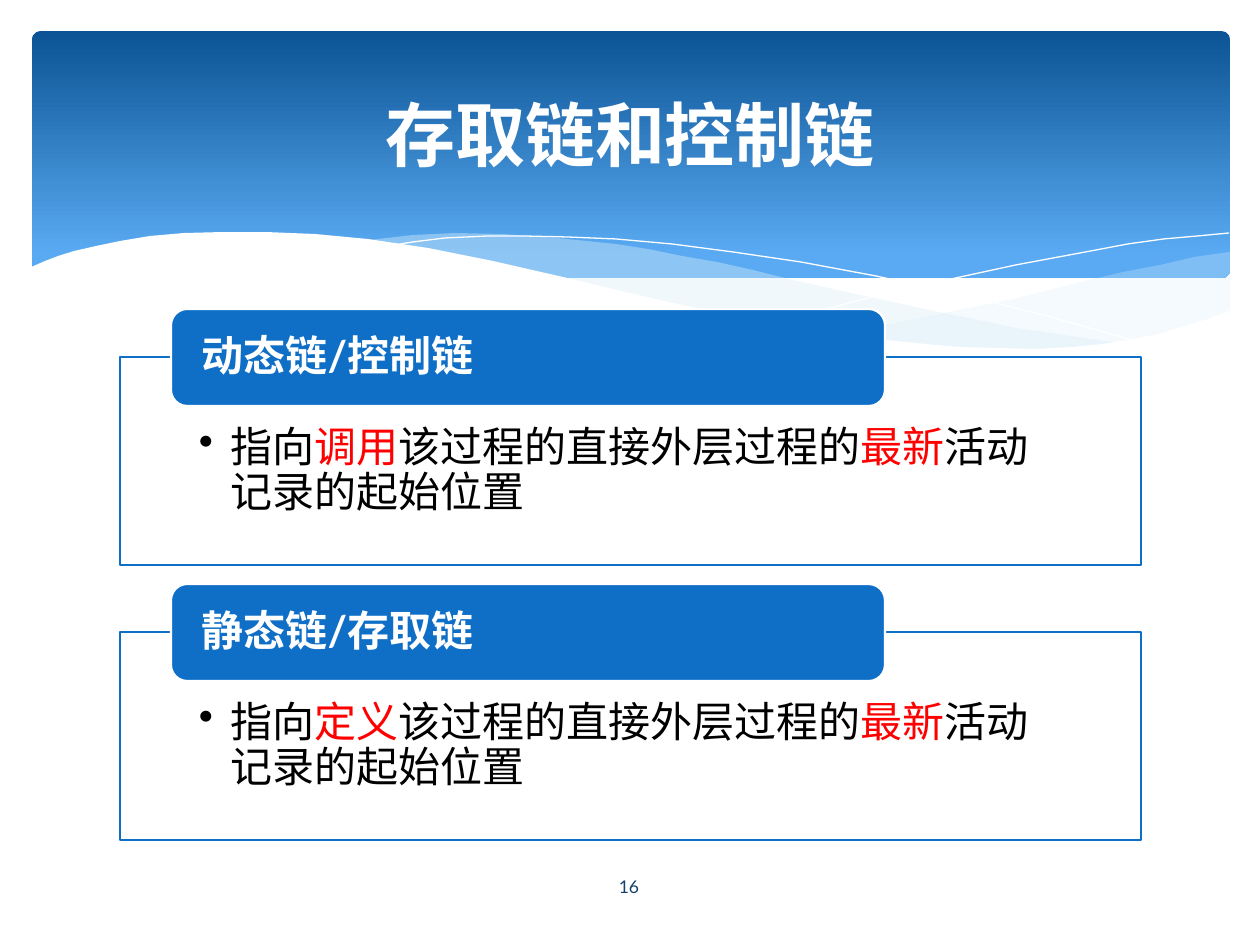
from lxml import etree
from pptx import Presentation
from pptx.dml.color import RGBColor
from pptx.enum.shapes import MSO_SHAPE
from pptx.enum.text import MSO_ANCHOR, PP_ALIGN
from pptx.oxml.ns import qn
from pptx.util import Pt

PX = 914400 / 126
RECT, ROUND = MSO_SHAPE.RECTANGLE, MSO_SHAPE.ROUNDED_RECTANGLE
TOP, MIDDLE = MSO_ANCHOR.TOP, MSO_ANCHOR.MIDDLE
LEFT, CENTER = PP_ALIGN.LEFT, PP_ALIGN.CENTER
WHITE = RGBColor(0xFF, 0xFF, 0xFF)
BLACK = RGBColor(0, 0, 0)
RED = RGBColor(0xFF, 0, 0)
BLUE = RGBColor(0x0F, 0x6F, 0xC6)
DEEP = RGBColor(0x0B, 0x53, 0x94)
SKY = RGBColor(0x59, 0xAA, 0xF2)
PALE = RGBColor(0xDB, 0xEF, 0xF9)
NAVY = RGBColor(0x17, 0x40, 0x6D)
LATIN, HAN = "Lato", "Noto Sans CJK SC"


def paint(shape, color, alpha=100, line=None, width=1.25):
    shape.shadow.inherit = False
    if color is None:
        shape.fill.background()
    else:
        shape.fill.solid()
        shape.fill.fore_color.rgb = color
        if alpha < 100:
            tone = shape.fill._xPr.find(qn("a:solidFill"))[0]
            etree.SubElement(tone, qn("a:alpha")).set("val", str(alpha * 1000))
    if line is None:
        shape.line.fill.background()
    else:
        shape.line.color.rgb = line
        shape.line.width = Pt(width)


def write(shape, runs, size, anchor, align, pad, bold=False):
    frame = shape.text_frame
    frame.word_wrap = True
    frame.vertical_anchor = anchor
    frame.margin_left, frame.margin_top, frame.margin_right, frame.margin_bottom = [
        int(p * PX) for p in pad
    ]
    para = frame.paragraphs[0]
    para.alignment = align
    for text, font, color in runs:
        run = para.add_run()
        run.text = text
        run.font.name = font
        run.font.size = Pt(size)
        run.font.bold = bold
        run.font.color.rgb = color
    return para


deck = Presentation()
deck.slide_width, deck.slide_height = int(1260 * PX), int(945 * PX)
slide = deck.slides.add_slide(deck.slide_layouts[5])
shapes = slide.shapes

banner = shapes.add_shape(ROUND, *[int(v * PX) for v in (32, 31, 1198, 247)])
banner.adjustments[0] = 0.034
paint(banner, WHITE)
banner.fill.gradient()
banner.fill.gradient_angle = 270
for stop, color, place in zip(banner.fill.gradient_stops, (DEEP, SKY), (0, 0.9)):
    stop.color.rgb = color
    stop.position = place

right = [
    (1229, 252), (1194, 257), (1160, 265), (1123, 272), (1085, 281), (1014, 299),
    (949, 312), (890, 324), (833, 334), (871, 339), (906, 343), (939, 346),
    (969, 348), (1012, 350), (1052, 349), (1087, 346), (1120, 343), (1150, 337),
    (1178, 330), (1213, 318), (1230, 311), (1230, 252),
]
middle = [
    (1125, 344), (1091, 339), (1017, 328), (934, 311), (842, 291), (793, 280),
    (753, 270), (717, 262), (682, 256), (648, 249), (616, 244), (557, 238),
    (503, 234), (455, 233), (413, 235), (360, 241), (407, 247), (456, 256),
    (509, 266), (566, 280), (668, 302), (757, 321), (819, 333), (876, 340),
    (927, 346), (974, 349), (1017, 350), (1056, 350), (1092, 348),
]
crest = [
    (389, 246), (413, 242), (445, 238), (488, 236), (524, 236), (567, 237),
    (616, 239), (672, 244), (733, 252), (801, 262), (876, 276), (958, 294),
    (1047, 316), (1143, 343),
]
rise = [
    (772, 324), (823, 310), (876, 296), (942, 281), (1016, 265), (1091, 251),
    (1128, 244), (1164, 239), (1198, 236), (1229, 233),
]
front = [
    (1231, 310), (1208, 319), (1184, 326), (1159, 334), (1133, 339), (1103, 344),
    (1071, 347), (1037, 349), (999, 348), (959, 347), (915, 343), (867, 338),
    (816, 330), (760, 320), (699, 309), (634, 294), (563, 277), (493, 261),
    (428, 248), (368, 239), (315, 234), (266, 232), (223, 232), (184, 233),
    (150, 236), (120, 241), (96, 246), (74, 251), (58, 256), (45, 261),
    (29, 268), (29, 415), (1231, 415),
]
waves = [
    (right, PALE, 29, None),
    (middle, PALE, 40, None),
    (crest, None, 100, WHITE),
    (rise, None, 100, WHITE),
    (front, WHITE, 100, None),
]
for points, color, alpha, line in waves:
    pen = shapes.build_freeform(*points[0], scale=PX)
    pen.add_line_segments(points[1:], close=color is not None)
    paint(pen.convert_to_shape(), color, alpha, line, 0)

links = [("动态链/控制链", "调用"), ("静态链/存取链", "定义")]
for row, (head, verb) in enumerate(links):
    drop = row * 275
    box = shapes.add_shape(RECT, *[int(v * PX) for v in (120, 357 + drop, 1021, 208)])
    paint(box, WHITE, 90, BLUE)
    runs = [
        ("指向", LATIN, BLACK),
        (verb, HAN, RED),
        ("该过程的直接外层过程的", LATIN, BLACK),
        ("最新", HAN, RED),
        ("活动记录的起始位置", LATIN, BLACK),
    ]
    para = write(box, runs, 24, TOP, LEFT, (79, 69, 79, 24))
    para.line_spacing = 0.9
    props = para._p.get_or_add_pPr()
    props.set("marL", "228600")
    props.set("indent", "-228600")
    etree.SubElement(props, qn("a:buChar")).set("char", "•")

    tab = shapes.add_shape(ROUND, *[int(v * PX) for v in (171, 309 + drop, 714, 97)])
    paint(tab, BLUE, 100, WHITE)
    para = write(tab, [(head, LATIN, WHITE)], 24, MIDDLE, LEFT, (26, 0, 26, 0), True)
    para.line_spacing = 0.9

number = shapes.add_textbox(*[int(v * PX) for v in (549, 862, 160, 50)])
write(number, [("16", LATIN, NAVY)], 10, MIDDLE, CENTER, (13, 6, 13, 6))

title = shapes.title
title.left, title.top, title.width, title.height = [
    int(v * PX) for v in (63, 47, 1134, 173)
]
write(title, [("存取链和控制链", HAN, WHITE)], 40, MIDDLE, CENTER, (13, 6, 13, 6), True)
shapes._spTree.append(title._element)

deck.save("out.pptx")
